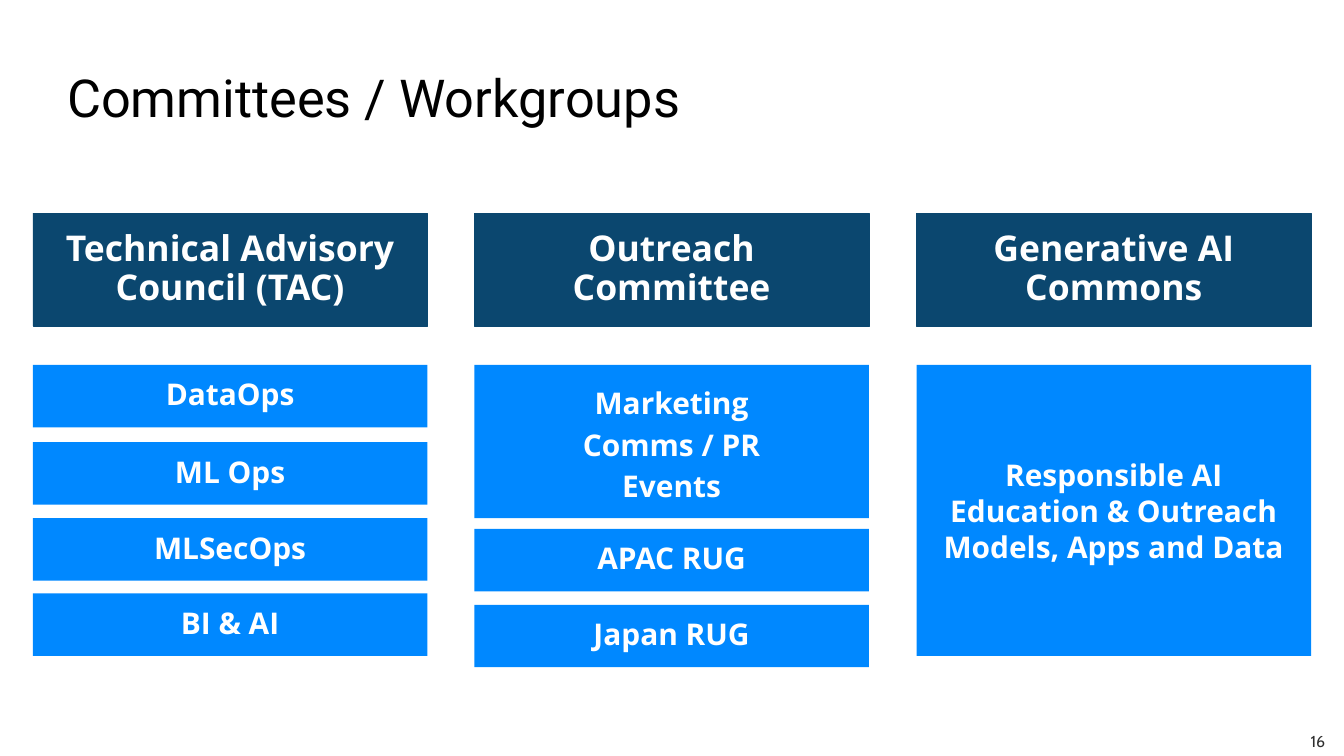
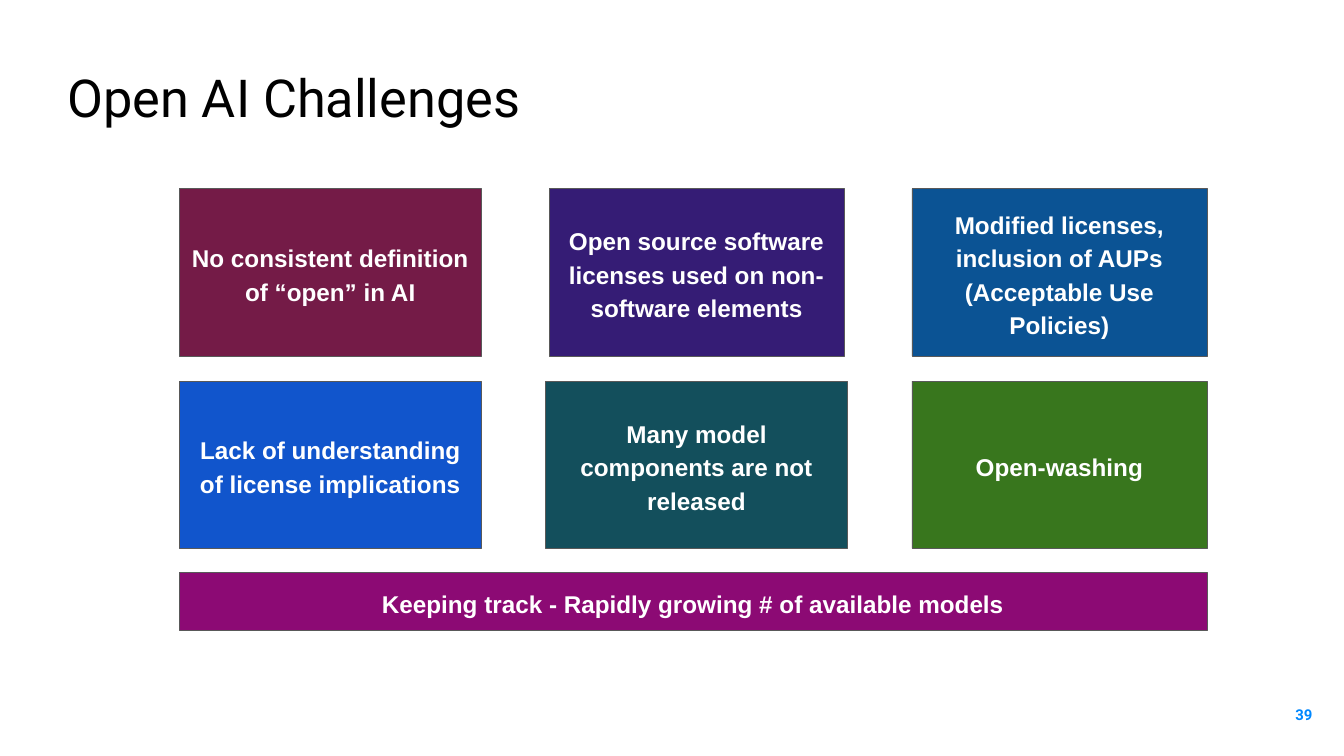
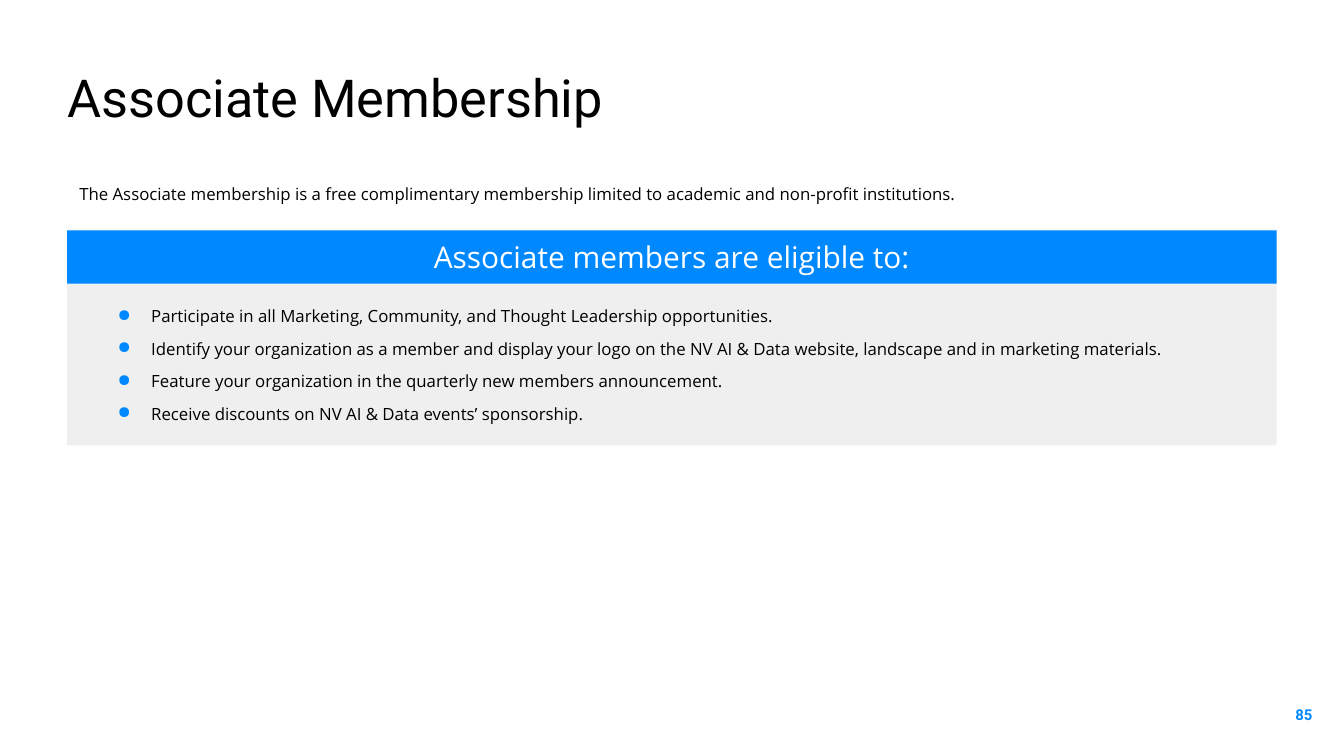
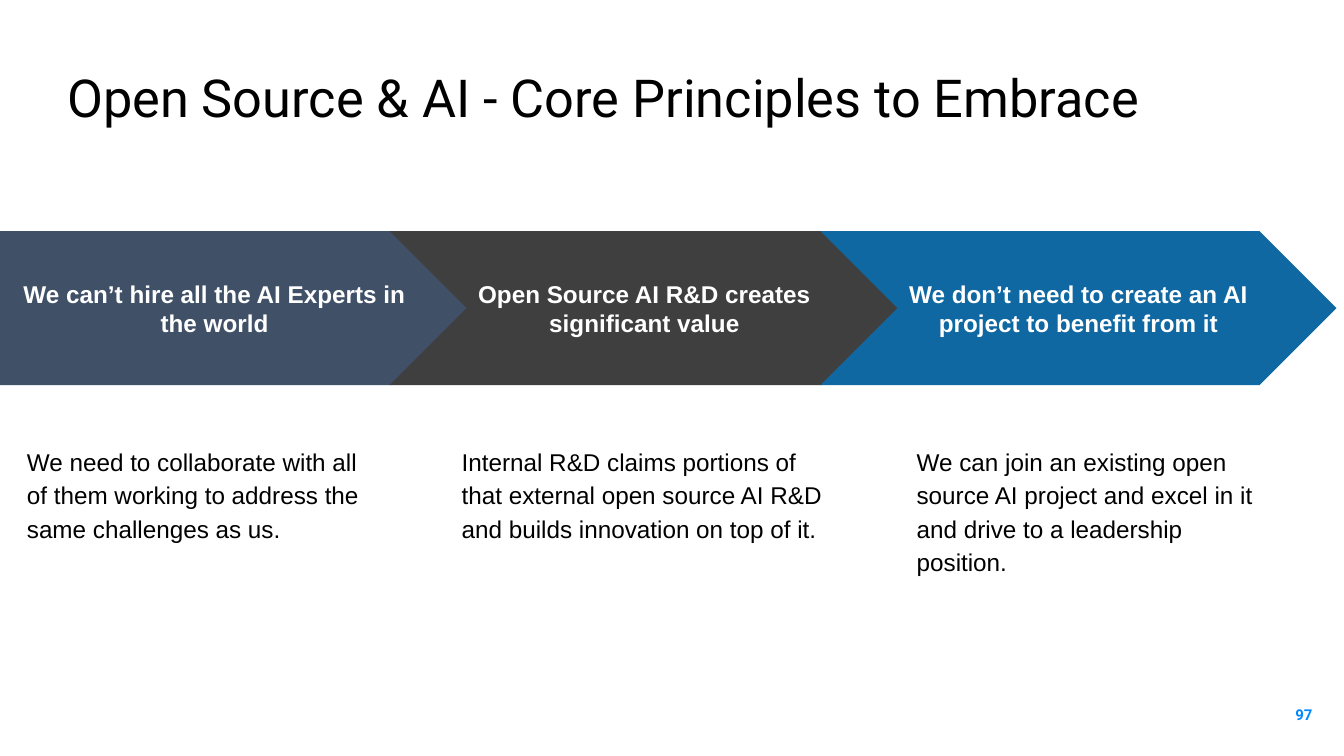
from lxml import etree
from pptx import Presentation
from pptx import util as u
from pptx.dml.color import RGBColor
from pptx.enum import shapes, text
from pptx.oxml import ns

WHITE = RGBColor(0xFF, 0xFF, 0xFF)
BLACK = RGBColor(0x00, 0x00, 0x00)
INK = RGBColor(0x2F, 0x2F, 0x2F)
BLUE = RGBColor(0x00, 0x88, 0xFF)
NAVY = RGBColor(0x0B, 0x47, 0x6F)
PALE = RGBColor(0xEF, 0xEF, 0xEF)
OUTLINE = RGBColor(0x59, 0x59, 0x59)
WINE = RGBColor(0x74, 0x1B, 0x47)
VIOLET = RGBColor(0x35, 0x1C, 0x75)
OCEAN = RGBColor(0x0B, 0x53, 0x94)
ROYAL = RGBColor(0x11, 0x55, 0xCC)
TEAL = RGBColor(0x13, 0x4F, 0x5C)
GREEN = RGBColor(0x38, 0x76, 0x1D)
MAGENTA = RGBColor(0x8C, 0x0A, 0x74)
MIDNIGHT = RGBColor(0x00, 0x17, 0x35)
CHARCOAL = RGBColor(0x3F, 0x3F, 0x3F)
STEEL = RGBColor(0x10, 0x68, 0xA2)

RECT = shapes.MSO_SHAPE.RECTANGLE
ROUND = shapes.MSO_SHAPE.ROUNDED_RECTANGLE
PLATE = shapes.MSO_SHAPE.PENTAGON
CHEVRON = shapes.MSO_SHAPE.CHEVRON
LEFT, CENTER, RIGHT = text.PP_ALIGN.LEFT, text.PP_ALIGN.CENTER, text.PP_ALIGN.RIGHT
TOP, MIDDLE = text.MSO_ANCHOR.TOP, text.MSO_ANCHOR.MIDDLE


def write(shape, lines, size, font, color, bold=False, align=LEFT, anchor=TOP,
          inset=(0.15, 0.15), spacing=1.0, before=0, after=0, bullet=None):
    frame = shape.text_frame
    frame.word_wrap = True
    frame.vertical_anchor = anchor
    frame.margin_left = frame.margin_right = u.Inches(inset[0])
    frame.margin_top = frame.margin_bottom = u.Inches(inset[1])
    for i, line in enumerate(lines):
        p = frame.paragraphs[0] if i == 0 else frame.add_paragraph()
        p.text = line
        p.alignment = align
        p.line_spacing = spacing
        p.space_before = u.Pt(before if i else 0)
        p.space_after = u.Pt(after if i == len(lines) - 1 else 0)
        if bullet:
            props = p._p.get_or_add_pPr()
            props.set("marL", str(u.Inches(0.75)))
            props.set("indent", str(u.Inches(-0.5)))
            tint = etree.SubElement(props, ns.qn("a:buClr"))
            etree.SubElement(tint, ns.qn("a:srgbClr"), val=str(BLUE))
            etree.SubElement(props, ns.qn("a:buChar"), char=bullet)
        p.font.size = u.Pt(size)
        p.font.name = font
        p.font.bold = bold
        p.font.color.rgb = color


def block(slide, kind, at, fill, line=None):
    shape = slide.shapes.add_shape(kind, *map(u.Inches, at))
    shape.shadow.inherit = False
    shape.fill.solid()
    shape.fill.fore_color.rgb = fill
    if kind == ROUND:
        shape.adjustments[0] = 0
    if line is None:
        shape.line.fill.background()
    else:
        shape.line.color.rgb = line
        shape.line.width = u.Pt(0.75)
    return shape


prs = Presentation()
prs.slide_width = u.Inches(20)
prs.slide_height = u.Inches(11.25)

blue_number = dict(at=(18.53, 10.2, 1.2, 0.86), size=16, font="Roboto", color=BLUE, bold=True, inset=(0.2, 0.2))
plain_number = dict(at=(19.27, 10.8, 0.6, 0.45), size=17, font="Cabin", color=INK, bold=False, inset=(0.15, 0.07))

slides = []
for heading, number, style in [
    ("Committees / Workgroups", "16", plain_number),
    ("Open AI Challenges", "39", blue_number),
    ("Associate Membership", "85", blue_number),
    ("Open Source & AI - Core Principles to Embrace", "97", blue_number),
]:
    slide = prs.slides.add_slide(prs.slide_layouts[6])
    title = slide.shapes.add_textbox(*map(u.Inches, (1, 0.97, 18.64, 1.25)))
    write(title, [heading], 56, "Roboto", BLACK, inset=(0, 0))
    page = slide.shapes.add_textbox(*map(u.Inches, style["at"]))
    write(page, [number], style["size"], style["font"], style["color"], style["bold"],
          RIGHT, MIDDLE, style["inset"])
    slides.append(slide)
committees, challenges, membership, principles = slides

groups = [
    (0.49, ["Technical Advisory Council (TAC)"], [
        (ROUND, 5.43, 0.93, 0.9, ["DataOps"]),
        (RECT, 6.58, 0.93, 0.9, ["ML Ops"]),
        (RECT, 7.71, 0.93, 0.9, ["MLSecOps"]),
        (RECT, 8.83, 0.93, 0.9, ["BI & AI"]),
    ]),
    (7.06, ["Outreach", "Committee"], [
        (RECT, 5.43, 2.28, 1.15, ["Marketing", "Comms / PR", "Events"]),
        (RECT, 7.87, 0.93, 0.9, ["APAC RUG"]),
        (RECT, 9, 0.93, 0.9, ["Japan RUG"]),
    ]),
    (13.64, ["Generative AI Commons"], [
        (RECT, 5.43, 4.33, 1.0, ["Responsible AI", "Education & Outreach", "Models, Apps and Data"]),
    ]),
]
for left, committee, workgroups in groups:
    header = block(committees, ROUND, (left, 3.17, 5.87, 1.68), NAVY, NAVY)
    write(header, committee, 38, "Open Sans", WHITE, True, CENTER, MIDDLE, spacing=0.9)
    for kind, top, height, spacing, names in workgroups:
        workgroup = block(committees, kind, (left, top, 5.87, height), BLUE)
        write(workgroup, names, 32, "Open Sans", WHITE, True, CENTER, MIDDLE, (0.09, 0.09), spacing)

for at, fill, challenge in [
    ((2.67, 2.81, 4.49, 2.49), WINE, "No consistent definition of “open” in AI"),
    ((8.17, 2.81, 4.39, 2.49), VIOLET, "Open source software licenses used on non-software elements"),
    ((13.57, 2.81, 4.39, 2.49), OCEAN, "Modified licenses, inclusion of AUPs (Acceptable Use Policies)"),
    ((2.67, 5.67, 4.49, 2.49), ROYAL, "Lack of understanding of license implications"),
    ((8.12, 5.67, 4.49, 2.49), TEAL, "Many model components are not released"),
    ((13.57, 5.67, 4.39, 2.49), GREEN, "Open-washing"),
    ((2.67, 8.52, 15.29, 0.86), MAGENTA, "Keeping track - Rapidly growing # of available models"),
]:
    card = block(challenges, RECT, at, fill, OUTLINE)
    write(card, [challenge], 26, "Arial", WHITE, True, CENTER, MIDDLE, (0.1, 0.1), 1.15, after=10)

intro = membership.shapes.add_textbox(*map(u.Inches, (1.03, 2.62, 17.94, 0.96)))
write(intro, ["The Associate membership is a free complimentary membership limited to academic "
              "and non-profit institutions."], 18, "Open Sans", BLACK, inset=(0.15, 0.07), spacing=1.15)
block(membership, RECT, (1, 3.43, 18, 3.2), PALE)
benefits = membership.shapes.add_textbox(*map(u.Inches, (1.3, 4.41, 16.84, 2.16)))
write(benefits, [
    "Participate in all Marketing, Community, and Thought Leadership opportunities.",
    "Identify your organization as a member and display your logo on the NV AI & Data website, "
    "landscape and in marketing materials.",
    "Feature your organization in the quarterly new members announcement.",
    "Receive discounts on NV AI & Data events’ sponsorship.",
], 18, "Open Sans", BLACK, inset=(0.2, 0.1), spacing=1.15, before=10, after=10, bullet="●")
band = block(membership, RECT, (1, 3.43, 18, 0.79), BLUE)
write(band, ["Associate members are eligible to:"], 32, "Open Sans", WHITE,
      align=CENTER, anchor=MIDDLE, inset=(0.2, 0.2))

for kind, left, width, fill, principle, note_left, note_width, note in [
    (PLATE, 0, 6.96, MIDNIGHT, "We can’t hire all the AI Experts in the world", 0.25, 5.55,
     "We need to collaborate with all of them working to address the same challenges as us."),
    (CHEVRON, 5.8, 7.58, CHARCOAL, "Open Source AI R&D creates significant value", 6.72, 5.73,
     "Internal R&D claims portions of that external open source AI R&D and builds innovation on top of it."),
    (CHEVRON, 12.21, 7.68, STEEL, "We don’t need to create an AI project to benefit from it", 13.49, 5.55,
     "We can join an existing open source AI project and excel in it and drive to a leadership position."),
]:
    arrow = block(principles, kind, (left, 3.44, width, 2.29), fill)
    arrow.adjustments[0] = 0.5
    if fill == MIDNIGHT:
        shade = arrow._element.spPr.find(ns.qn("a:solidFill"))[0]
        etree.SubElement(shade, ns.qn("a:alpha"), val="75000")
    write(arrow, [principle], 26, "Arial", WHITE, True, CENTER, MIDDLE)
    explanation = principles.shapes.add_textbox(*map(u.Inches, (note_left, 6.44, note_width, 3.51)))
    write(explanation, [note], 26, "Arial", BLACK, spacing=1.15)

prs.save("out.pptx")
